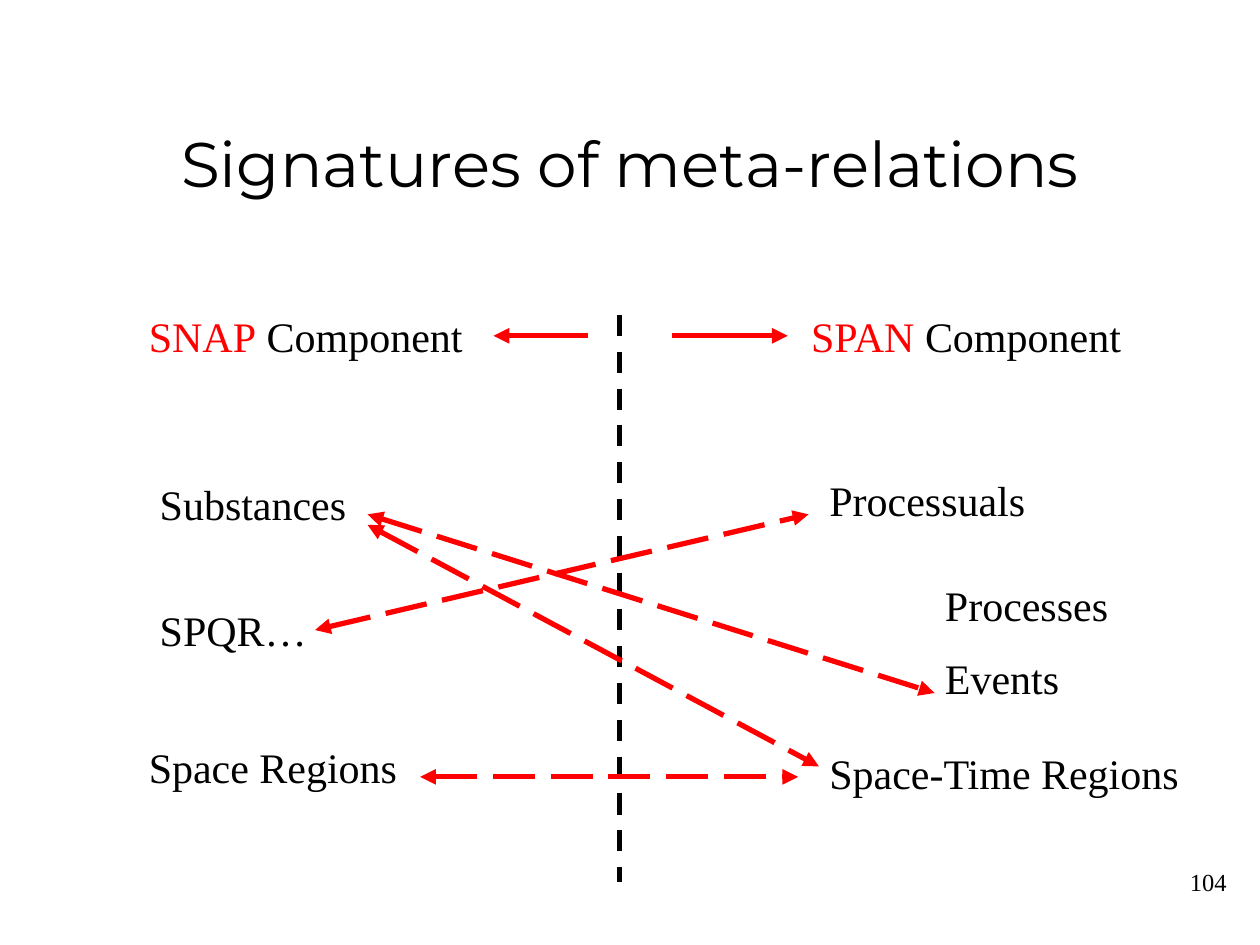
import pptx
import pptx.util
from lxml import etree
from pptx.dml.color import RGBColor
from pptx.enum.dml import MSO_LINE
from pptx.enum.shapes import MSO_CONNECTOR
from pptx.enum.text import MSO_ANCHOR, PP_ALIGN
from pptx.oxml.ns import qn
from pptx.util import Cm

BLACK = RGBColor(0x00, 0x00, 0x00)
RED = RGBColor(0xFF, 0x00, 0x00)
SERIF = "Times New Roman"
LABEL_H = 1.27


def add_text(slide, box, runs, size=24, font=SERIF, align=PP_ALIGN.LEFT,
             anchor=MSO_ANCHOR.TOP):
    """Place one line of (text, colour) runs in a box given in cm."""
    tf = slide.shapes.add_textbox(*map(Cm, box)).text_frame
    tf.word_wrap = True
    tf.vertical_anchor = anchor
    p = tf.paragraphs[0]
    p.alignment = align
    p.font.size = pptx.util.Pt(size)
    p.font.name = font
    for text, color in runs:
        r = p.add_run()
        r.text = text
        r.font.color.rgb = color


def add_line(slide, start, end, color=RED, dash=None, ends=()):
    """Draw a line in cm; ends lists the arrowheads, headEnd before tailEnd."""
    sp = slide.shapes.add_connector(
        MSO_CONNECTOR.STRAIGHT, *map(Cm, (*start, *end)))
    sp.line.color.rgb = color
    sp.line.width = pptx.util.Pt(3)
    if dash is not None:
        sp.line.dash_style = dash
    ln = sp.line._get_or_add_ln()
    for tag in ends:
        etree.SubElement(ln, qn(f"a:{tag}"), type="triangle")
    etree.SubElement(sp._element.spPr, qn("a:effectLst"))


def add_title(slide, box):
    add_text(slide, box, [("Signatures of meta-relations", BLACK)], 36,
             "Montserrat", PP_ALIGN.CENTER, MSO_ANCHOR.MIDDLE)


def add_column(slide, box, heading, labels):
    """Heading at the top of the box, labels offset from its corner."""
    left, top, width = box
    add_text(slide, (left, top, width, LABEL_H),
             [(heading, RED), (" Component", BLACK)])
    for dx, dy, label_width, text in labels:
        add_text(slide, (left + dx, top + dy, label_width, LABEL_H),
                 [(text, BLACK)])


def add_relations(slide, box):
    """Divider and arrows between the columns, offset from the box corner."""
    left, top = box

    def at(x, y):
        return left + x, top + y

    # Divider between the two components
    add_line(slide, at(6.14, 0), at(6.14, 11.43), BLACK, MSO_LINE.DASH)

    # Arrows to the headings
    for x1, x2 in ((7.19, 9.53), (5.51, 3.6)):
        add_line(slide, at(x1, 0.42), at(x2, 0.42), ends=["tailEnd"])

    # Relations across the divider
    relations = [
        ((1.06, 4.23), (10.16, 9.1)),   # Substances - Space-Time Regions
        ((2.12, 9.31), (9.74, 9.31)),   # Space Regions - Space-Time Regions
        ((1.06, 4.02), (12.49, 7.62)),  # Substances - Events
        ((0, 6.35), (9.95, 4.02)),      # SPQR - Processuals
    ]
    for start, end in relations:
        add_line(slide, at(*start), at(*end), dash=MSO_LINE.LONG_DASH,
                 ends=["headEnd", "tailEnd"])


def add_page_number(slide, box):
    add_text(slide, box, [("104", BLACK)], 14, align=PP_ALIGN.RIGHT)


def main():
    prs = pptx.Presentation()
    prs.slide_width, prs.slide_height = Cm(25.4), Cm(19.05)
    slide = prs.slides.add_slide(prs.slide_layouts[6])

    add_title(slide, (1.9, 1.69, 21.6, 3.18))
    add_column(slide, (2.75, 6.14, 7.62), "SNAP", [
        (0.22, 3.39, 4.6, "Substances"),
        (0.22, 5.93, 3.7, "SPQR…"),
        (0, 8.68, 5.7, "Space Regions"),
    ])
    add_column(slide, (16.1, 6.14, 7), "SPAN", [
        (0.37, 3.3, 4.7, "Processuals"),
        (2.7, 5.42, 4, "Processes"),
        (2.7, 6.89, 3, "Events"),
        (0.37, 8.8, 7.8, "Space-Time Regions"),
    ])
    add_relations(slide, (6.35, 6.35))
    add_page_number(slide, (19.7, 17.35, 5.28, LABEL_H))

    prs.save("out.pptx")


if __name__ == "__main__":
    main()
